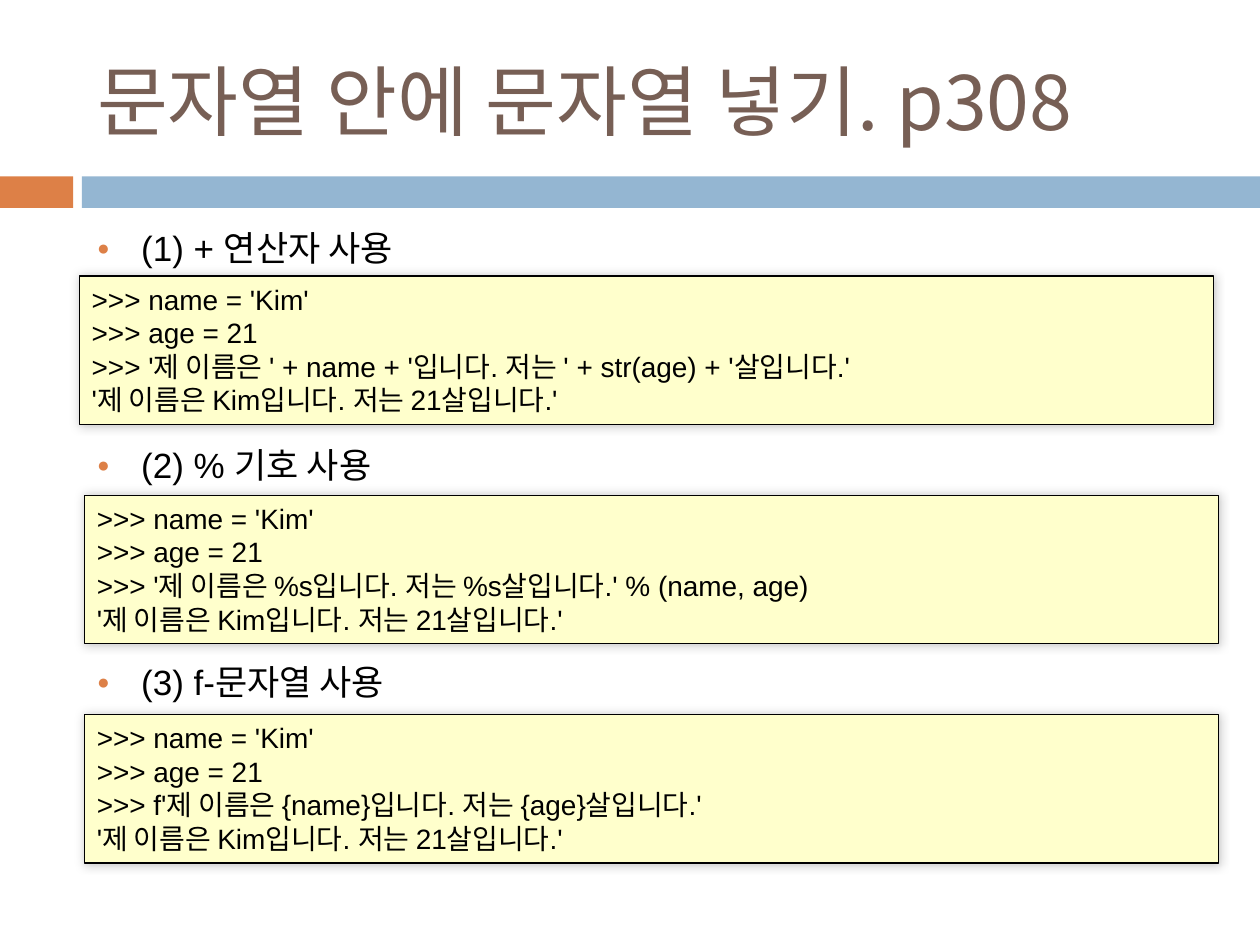
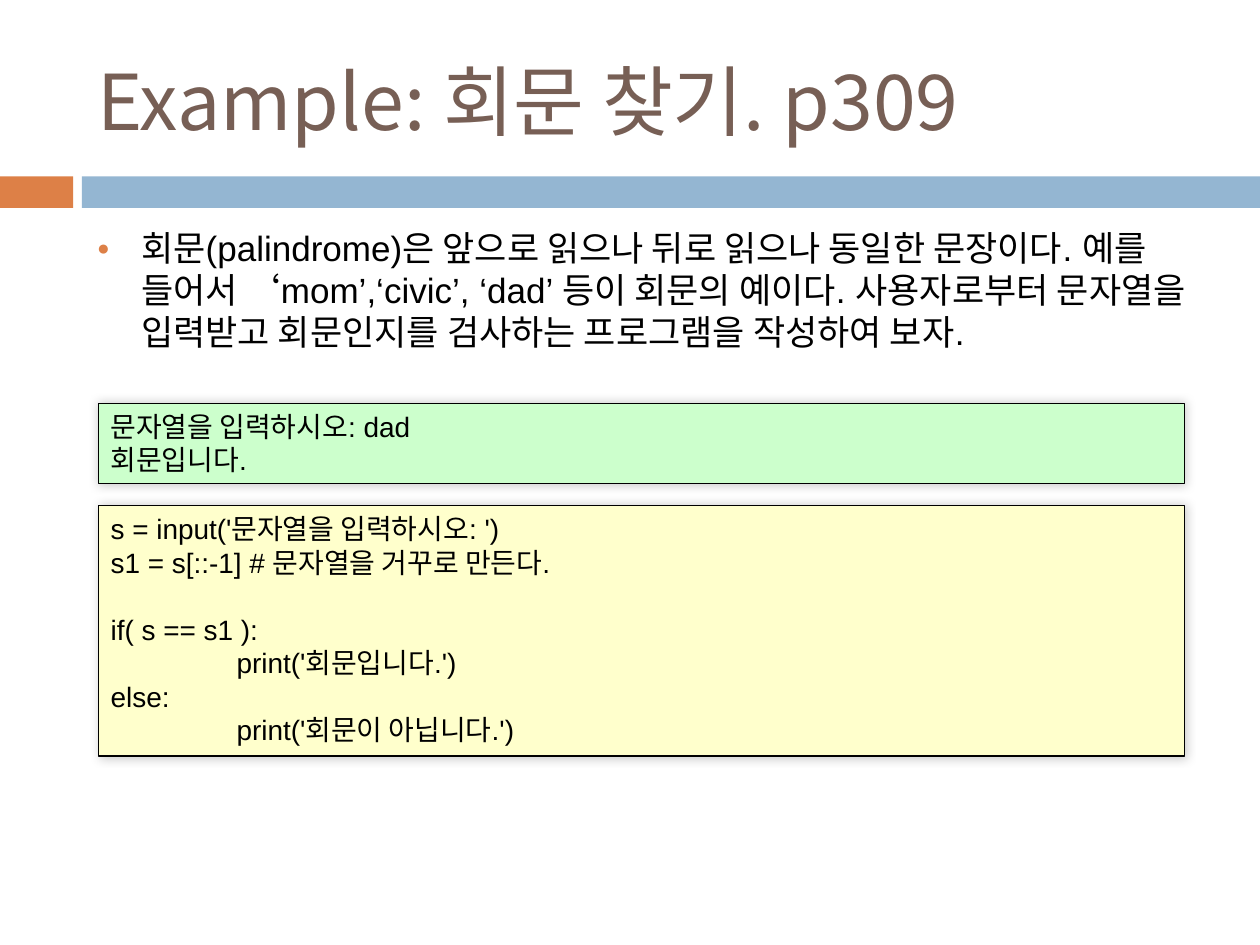
from lxml import etree
from pptx import Presentation
from pptx.dml.color import RGBColor
from pptx.enum.shapes import MSO_SHAPE
from pptx.enum.text import MSO_ANCHOR, MSO_AUTO_SIZE, PP_ALIGN
from pptx.oxml.ns import qn
from pptx.util import Pt

RECT = MSO_SHAPE.RECTANGLE
TOP, MIDDLE = MSO_ANCHOR.TOP, MSO_ANCHOR.MIDDLE
FIXED = MSO_AUTO_SIZE.NONE
LEFT = PP_ALIGN.LEFT

SCALE = 9144
LATIN, HANGUL = "Arial", "Noto Sans CJK KR"
BLACK, BROWN, ORANGE, BLUE = "000000", "775F55", "DD8047", "94B6D2"
CREAM, MINT = "FFFFCC", "CCFFCC"
TITLE_AT = (67, 25, 892, 108)
BODY_AT = (67, 175, 892, 492)
BANDS = [((0, 140, 58, 25), ORANGE), ((65, 140, 935, 25), BLUE)]
POINT_GAP = 100

METHODS = ["(1) + 연산자 사용", "(2) % 기호 사용", "(3) f-문자열 사용"]
LINES = [
    ">>> '제 이름은 ' + name + '입니다. 저는 ' + str(age) + '살입니다.'",
    ">>> '제 이름은 %s입니다. 저는 %s살입니다.' % (name, age)",
    ">>> f'제 이름은 {name}입니다. 저는 {age}살입니다.'",
]
SPOTS = [(63, 219), (67, 393), (67, 567)]
SHELL = """>>> name = 'Kim'
>>> age = 21
{}
'제 이름은 Kim입니다. 저는 21살입니다.'"""

TASK = ("회문(palindrome)은 앞으로 읽으나 뒤로 읽으나 동일한 문장이다. "
        "예를 들어서 ‘mom’,‘civic’, ‘dad’ 등이 회문의 예이다. "
        "사용자로부터 문자열을 입력받고 회문인지를 검사하는 프로그램을 작성하여 보자.")
OUTPUT = """문자열을 입력하시오: dad
회문입니다."""
CODE = """s = input('문자열을 입력하시오: ')
s1 = s[::-1] # 문자열을 거꾸로 만든다.

if( s == s1 ):
\tprint('회문입니다.')
else:
\tprint('회문이 아닙니다.')"""


def px(n):
    return n * SCALE


def color(code):
    return RGBColor.from_string(code)


def node(parent, tag, **attrs):
    return etree.SubElement(parent, qn(tag), attrs)


def place(shape, box):
    shape.left, shape.top, shape.width, shape.height = map(px, box)


def style(frame, size, tint, face, anchor):
    frame.word_wrap = True
    frame.auto_size = FIXED
    frame.vertical_anchor = anchor
    for para in frame.paragraphs:
        para.alignment = LEFT
        for run in para.runs:
            run.font.size = Pt(size)
            run.font.name = face
            run.font.color.rgb = color(tint)
            node(run.font._element, "a:ea", typeface=HANGUL)
        if not para.runs:
            node(para._p, "a:endParaRPr", sz=str(size * 100))


def add_rect(slide, box, fill):
    shape = slide.shapes.add_shape(RECT, *map(px, box))
    shape.fill.solid()
    shape.fill.fore_color.rgb = color(fill)
    shape.line.fill.background()
    shape.shadow.inherit = False
    return shape


def set_layout(slide):
    layout = slide.slide_layout
    place(layout.placeholders[0], TITLE_AT)
    place(layout.placeholders[1], BODY_AT)
    for spot, (box, fill) in enumerate(BANDS, 2):
        band = add_rect(slide, box, fill)
        layout.shapes.element.insert(spot, band.element)


def add_bullet(para):
    props = para._p.get_or_add_pPr()
    props.set("marL", str(px(35)))
    props.set("indent", str(-px(35)))
    node(node(props, "a:buClr"), "a:srgbClr", val=ORANGE)
    node(props, "a:buSzPct", val="60000")
    node(props, "a:buFont", typeface=LATIN)
    node(props, "a:buChar", char="●")


def add_page(deck, title, points):
    slide = deck.slides.add_slide(deck.slide_layouts[1])
    head, body = slide.placeholders
    head.text_frame.text = title
    style(head.text_frame, 44, BROWN, HANGUL, MIDDLE)
    frame = body.text_frame
    frame.text = "\n".join(points)
    for i, para in enumerate(frame.paragraphs):
        add_bullet(para)
        para.space_before = Pt(POINT_GAP if i else 0)
    style(frame, 20, BLACK, LATIN, TOP)
    return slide


def add_shadow(shape):
    effects = shape.element.spPr.find(qn("a:effectLst"))
    shade = node(effects, "a:outerShdw", blurRad=str(Pt(6)), dist="0",
                 dir="18900000", algn="bl", rotWithShape="0")
    tint = node(shade, "a:srgbClr", val=BLACK)
    node(tint, "a:alpha", val="20000")


def add_code(slide, box, text, fill):
    shape = add_rect(slide, box, fill)
    shape.line.color.rgb = color(BLACK)
    shape.line.width = Pt(0.75)
    add_shadow(shape)
    frame = shape.text_frame
    frame.text = text
    for para in frame.paragraphs:
        if para.text.startswith("\t"):
            tabs = node(para._p.get_or_add_pPr(), "a:tabLst")
            node(tabs, "a:tab", pos=str(px(100)), algn="l")
    style(frame, 16, BLACK, LATIN, TOP)


def main():
    deck = Presentation()
    deck.slide_width, deck.slide_height = px(1000), px(750)

    slide = add_page(deck, "문자열 안에 문자열 넣기. p308", METHODS)
    set_layout(slide)
    for (left, top), line in zip(SPOTS, LINES):
        add_code(slide, (left, top, 900, 118), SHELL.format(line), CREAM)

    slide = add_page(deck, "Example: 회문 찾기. p309", [TASK])
    add_code(slide, (78, 320, 862, 64), OUTPUT, MINT)
    add_code(slide, (78, 401, 862, 199), CODE, CREAM)

    deck.save("out.pptx")


if __name__ == "__main__":
    main()
